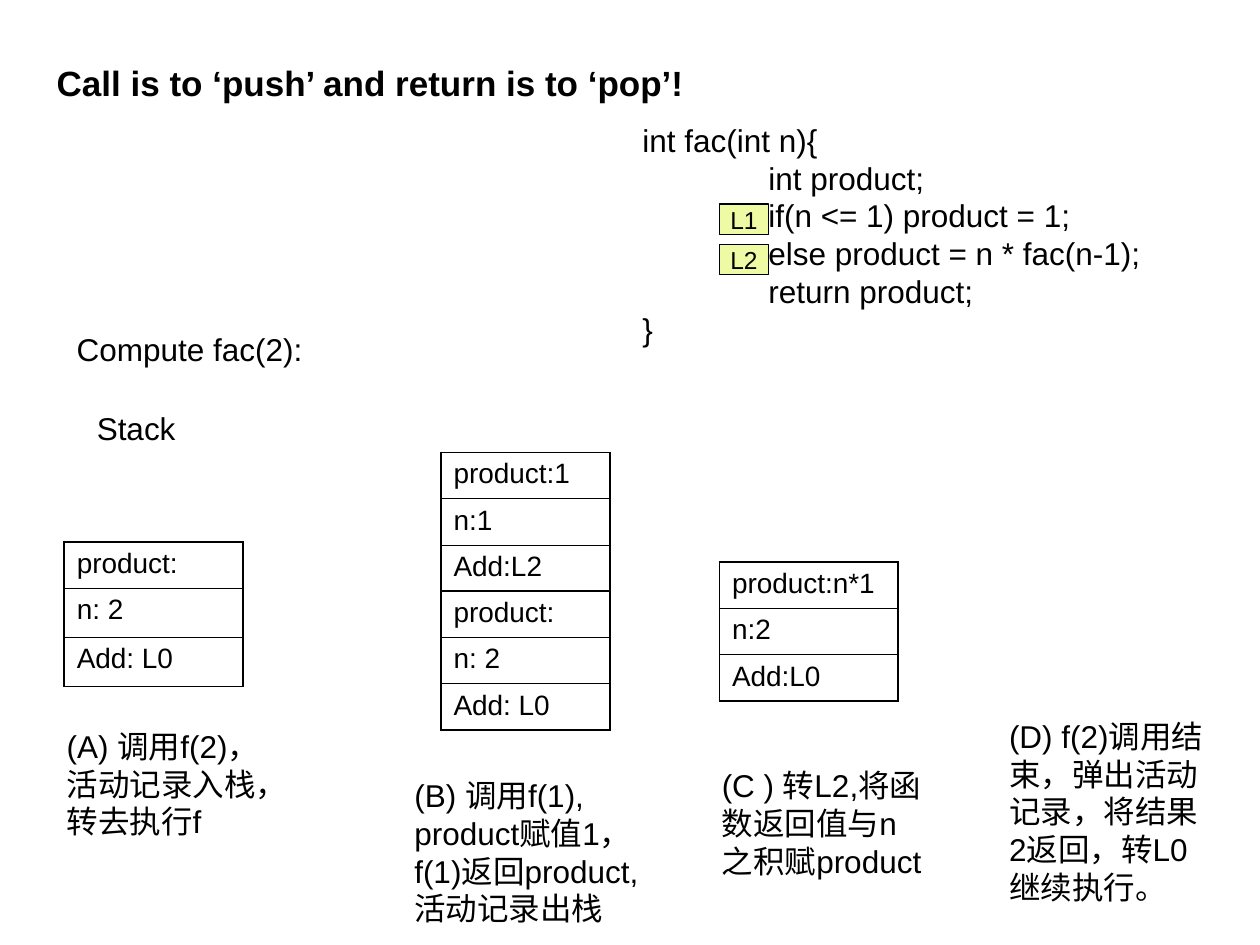
from lxml import etree
from pptx import Presentation, util as u
from pptx.dml.color import RGBColor
from pptx.enum import shapes, text
from pptx.oxml import ns

COLS, ROWS = 100, 75
CELL = u.Inches(0.1)
HUES = {"ink": "000000", "tag": "EEFAA4"}
THICK, THIN = 1.08, 0.45

CODE = [
    "int fac(int n){",
    "\tint product;",
    "\tif(n <= 1) product = 1;",
    "\telse product = n * fac(n-1);",
    "\treturn product;",
    "}",
]
TAGS = [("L1", 16.2), ("L2", 19.4)]
NOTES = [
    ("Compute fac(2):", 5.1, 25.7, 28.3, 4),
    ("Stack", 6.7, 32, 15.7, 4),
    ("(A) 调用f(2)，活动记录入栈，转去执行f", 4.3, 57.2, 18.9, 10),
    ("(B) 调用f(1), product赋值1，f(1)返回product, 活动记录出栈", 31.9, 61.1, 22, 13),
    ("(C ) 转L2,将函数返回值与n之积赋product", 56.3, 60.3, 18.1, 13),
    ("(D) f(2)调用结束，弹出活动记录，将结果2返回，转L0继续执行。", 79.1, 56.4, 18.1, 16),
]
FRAMES = [
    (["product:", "n: 2", "Add: L0"], 5.1, 43, 14.2, [3.7, 3.9, 3.9]),
    (["product:", "n: 2", "Add: L0"], 35, 46.9, 13.4, [3.68] * 3),
    (["product:1", "n:1", "Add:L2"], 35, 35.9, 13.4, [3.68] * 3),
    (["product:n*1", "n:2", "Add:L0"], 57.1, 44.6, 14.2, [3.68] * 3),
]


def grid(*spans):
    return [round(span * CELL) for span in spans]


def hue(name):
    return RGBColor.from_string(HUES[name])


def apply(item, form):
    for key, value in form.items():
        setattr(item, key, value)


def write(frame, lines, size, gap=0, bold=False, align=text.PP_ALIGN.LEFT):
    frame.text = "\n".join(lines)
    for para in frame.paragraphs:
        apply(para, {"space_before": u.Pt(gap), "alignment": align})
        apply(para.font, {"size": u.Pt(size), "name": "Arial", "bold": bold})
        para.font.color.rgb = hue("ink")


def set_tab(frame, span):
    for para in frame.paragraphs:
        stops = etree.Element(ns.qn("a:tabLst"))
        etree.SubElement(stops, ns.qn("a:tab"), pos=str(grid(span)[0]), algn="l")
        para._p.get_or_add_pPr().find(ns.qn("a:defRPr")).addprevious(stops)


def set_title(slide, words, *spans):
    title = slide.shapes.title
    apply(title, dict(zip(("left", "top", "width", "height"), grid(*spans))))
    form = {"word_wrap": False, "vertical_anchor": text.MSO_ANCHOR.TOP,
            "auto_size": text.MSO_AUTO_SIZE.SHAPE_TO_FIT_TEXT}
    apply(title.text_frame, form)
    write(title.text_frame, [words], 20, gap=5, bold=True)


def add_note(slide, lines, *spans, gap=0):
    frame = slide.shapes.add_textbox(*grid(*spans)).text_frame
    apply(frame, {"word_wrap": True, "auto_size": text.MSO_AUTO_SIZE.SHAPE_TO_FIT_TEXT})
    write(frame, lines, 18, gap=gap)
    return frame


def add_tag(slide, label, top):
    tag = slide.shapes.add_shape(shapes.MSO_SHAPE.RECTANGLE, *grid(57.1, top, 3.9, 2.4))
    tag.shadow.inherit = False
    tag.fill.solid()
    tag.fill.fore_color.rgb = hue("tag")
    tag.line.color.rgb = hue("ink")
    tag.line.width = u.Pt(0.75)
    apply(tag.text_frame, {"word_wrap": False, "vertical_anchor": text.MSO_ANCHOR.MIDDLE})
    write(tag.text_frame, [label], 14, align=text.PP_ALIGN.CENTER)


def add_edge(cell, side, width, spot):
    edge = etree.Element(ns.qn("a:ln" + side), w=str(u.Pt(width)))
    fill = etree.SubElement(edge, ns.qn("a:solidFill"))
    etree.SubElement(fill, ns.qn("a:srgbClr"), val=HUES["ink"])
    cell._tc.get_or_add_tcPr().insert(spot, edge)


def add_frame(slide, labels, left, top, width, highs):
    spans = grid(left, top, width, sum(highs))
    table = slide.shapes.add_table(len(labels), 1, *spans).table
    apply(table, {"first_row": False, "horz_banding": False})
    last = len(labels) - 1
    for num, (label, high) in enumerate(zip(labels, highs)):
        table.rows[num].height = grid(high)[0]
        cell = table.cell(num, 0)
        cell.fill.background()
        write(cell.text_frame, [label], 16, gap=4)
        edges = {"L": THICK, "R": THICK,
                 "T": THIN if num else THICK,
                 "B": THIN if num < last else THICK}
        for spot, (side, weight) in enumerate(edges.items()):
            add_edge(cell, side, weight, spot)


def main():
    deck = Presentation()
    apply(deck, {"slide_width": COLS * CELL, "slide_height": ROWS * CELL})
    slide = deck.slides.add_slide(deck.slide_layouts.get_by_name("Title Only"))
    set_title(slide, "Call is to ‘push’ and return is to ‘pop’!", 3.5, 4.4, 51.9, 4.4)
    code = add_note(slide, CODE, 50, 9.1, 50, 19)
    set_tab(code, 10)
    for tag in TAGS:
        add_tag(slide, *tag)
    for words, *spans in NOTES:
        add_note(slide, [words], *spans, gap=11.2)
    for frame in FRAMES:
        add_frame(slide, *frame)
    deck.save("out.pptx")


if __name__ == "__main__":
    main()
